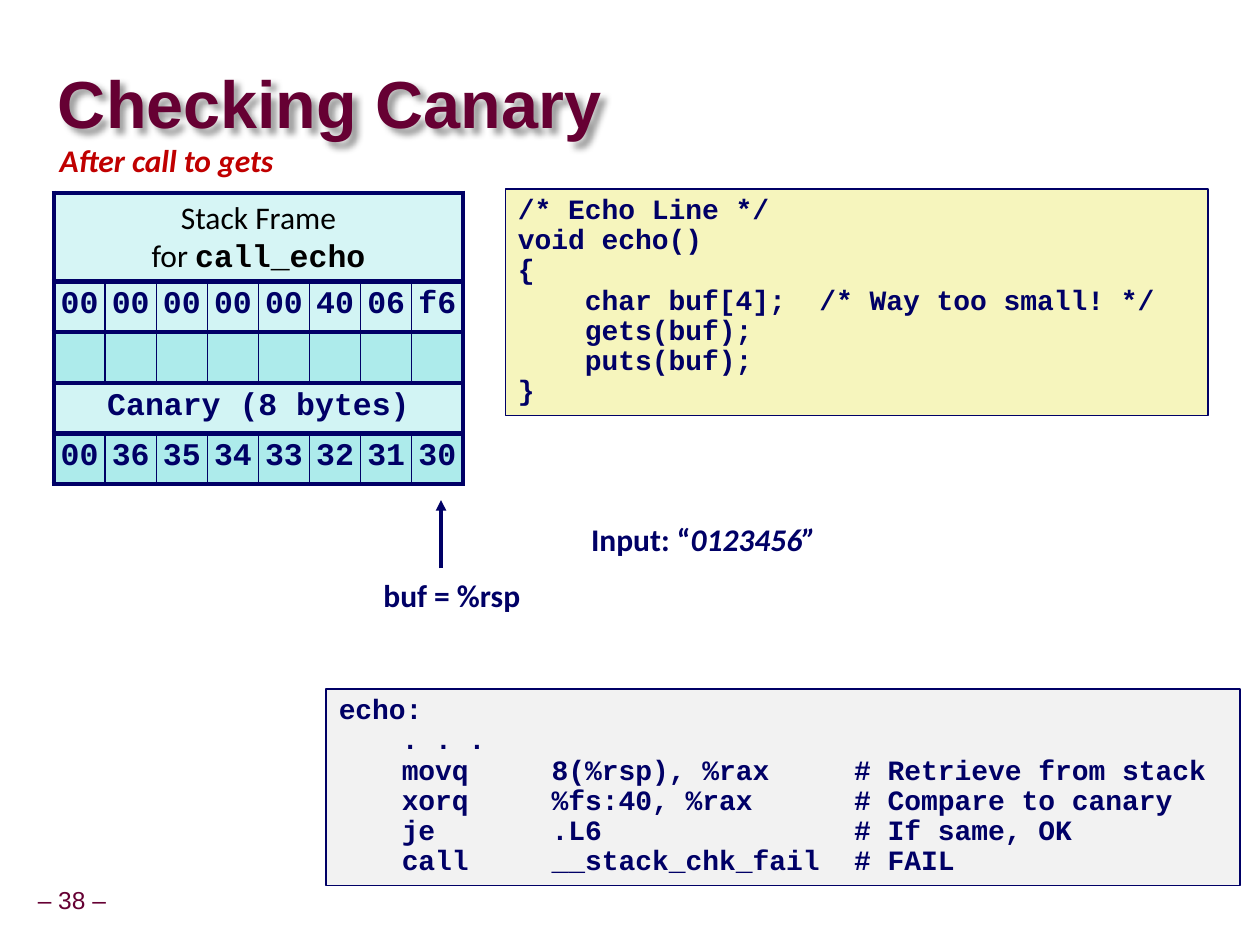
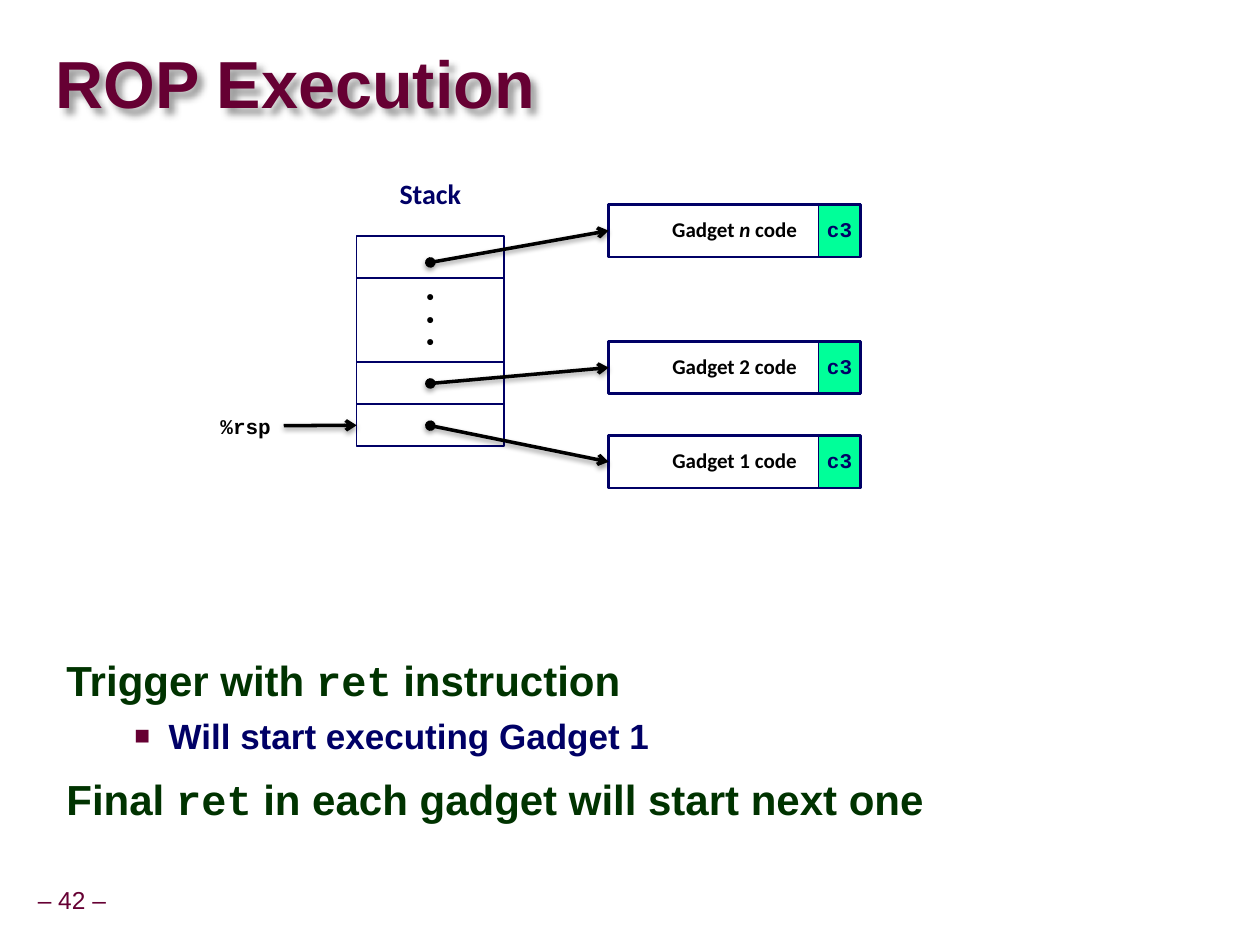
from lxml import etree
from pptx import Presentation
from pptx.dml.color import RGBColor
from pptx.enum.shapes import MSO_CONNECTOR, MSO_SHAPE
from pptx.enum.text import MSO_ANCHOR, PP_ALIGN
from pptx.oxml.ns import qn
from pptx.util import Cm, Pt

COLORS = {
    "navy": "000066", "maroon": "660033", "green": "003300", "red": "C00000",
    "black": "000000", "grey": "F2F2F2", "yellow": "F6F5BD", "mint": "00FF99",
    "frame": "D6F5F5", "pale": "D2F4F4", "teal": "ADEBEB",
}

# Text styles: font, size, colour, bold, italic
STYLES = {
    "title": ("Arial", 38, "maroon", True, False),
    "number": ("Arial", 14, "maroon", False, False),
    "code": ("Courier New", 16, "navy", True, False),
    "label": ("Calibri", 18, "navy", True, False),
    "label italic": ("Calibri", 18, "navy", True, True),
    "moment": ("Calibri", 18, "red", True, True),
    "frame": ("Calibri", 18, "black", False, False),
    "frame code": ("Courier New", 18, "black", True, False),
    "byte": ("Courier New", 18, "navy", True, False),
    "point": ("Arial", 24, "green", True, False),
    "point code": ("Courier New", 24, "green", True, False),
    "subpoint": ("Arial", 20, "navy", True, False),
    "stack": ("Calibri", 16, "navy", True, False),
    "dots": ("Arial", 12, "black", True, False),
    "gadget": ("Calibri", 12, "black", True, False),
    "gadget italic": ("Calibri", 12, "black", True, True),
    "opcode": ("Courier New", 12, "navy", True, False),
    "register": ("Courier New", 12, "black", True, False),
}

# Content: a paragraph is a list of (text, style) spans
ECHO_SOURCE = [
    "/* Echo Line */",
    "void echo()",
    "{",
    "    char buf[4];  /* Way too small! */",
    "    gets(buf);",
    "    puts(buf);",
    "}",
]
ECHO_ASSEMBLY = [
    ("echo:",),
    ("", ". . ."),
    ("", "movq", "8(%rsp), %rax", "# Retrieve from stack"),
    ("", "xorq", "%fs:40, %rax", "# Compare to canary"),
    ("", "je", ".L6", "# If same, OK"),
    ("", "call", "__stack_chk_fail", "# FAIL"),
]
ASSEMBLY_TABS = (1.27, 4.29, 10.39)

FRAME_LABEL = [[("Stack Frame", "frame")],
               [("for ", "frame"), ("call_echo", "frame code")]]
BYTE_COUNT = 8
# Rows: height, fill, paragraphs of a merged row or a list of bytes
FRAME_ROWS = [
    (1.78, "frame", FRAME_LABEL),
    (1.02, "pale", "00 00 00 00 00 40 06 f6".split()),
    (1.02, "teal", [""] * BYTE_COUNT),
    (1.02, "pale", [[("Canary (8 bytes)", "byte")]]),
    (1.02, "teal", "00 36 35 34 33 32 31 30".split()),
]

# Gadgets: top, label, height of the pointer's start, all top to bottom
GADGETS = [
    (4.12, [("Gadget ", "gadget"), ("n", "gadget italic"), (" code", "gadget")], 5.29),
    (6.88, [("Gadget 2 code", "gadget")], 7.73),
    (8.78, [("Gadget 1 code", "gadget")], 8.58),
]
SLOT_HEIGHTS = [0.85, 1.69, 0.85, 0.85]
DOTS_SLOT = 1

ROP_POINTS = [
    [("Trigger with ", "point"), ("ret", "point code"), (" instruction", "point")],
    [("Will start executing Gadget 1", "subpoint")],
    [("Final ", "point"), ("ret", "point code"),
     (" in each gadget will start next one", "point")],
]

CENTER, LEFT, RIGHT = PP_ALIGN.CENTER, PP_ALIGN.LEFT, PP_ALIGN.RIGHT


def rgb(name):
    return RGBColor.from_string(COLORS[name])


def child(parent, tag, **attributes):
    """Append a drawing element with the given attributes."""
    element = etree.SubElement(parent, qn(tag))
    for key, value in attributes.items():
        element.set(key, str(value))
    return element


def add_shadow(shape, blur, distance, degrees, opacity):
    effects = child(shape._element.spPr, "a:effectLst")
    outer = child(effects, "a:outerShdw", blurRad=Pt(blur), dist=Pt(distance),
                  dir=degrees * 60000, algn="ctr", rotWithShape=0)
    color = child(outer, "a:srgbClr", val=COLORS["black"])
    child(color, "a:alpha", val=opacity * 1000)


def write(frame, paragraphs, align=LEFT, spacing=0.9, tabs=()):
    for index, spans in enumerate(paragraphs):
        para = frame.add_paragraph() if index else frame.paragraphs[0]
        if tabs:
            tab_list = child(para._p.get_or_add_pPr(), "a:tabLst")
            for position in tabs:
                child(tab_list, "a:tab", pos=Cm(position), algn="l")
        para.alignment = align
        para.line_spacing = spacing
        for text, style in spans:
            span = para.add_run()
            span.text = text
            font, size, color, bold, italic = STYLES[style]
            span.font.name, span.font.size = font, Pt(size)
            span.font.bold, span.font.italic = bold, italic
            span.font.color.rgb = rgb(color)


def set_margins(target, across, down):
    target.margin_left = target.margin_right = Cm(across)
    target.margin_top = target.margin_bottom = Cm(down)


def add_text(page, place, paragraphs, align=CENTER, anchor=MSO_ANCHOR.TOP,
             margins=(0.25, 0.13), spacing=0.9):
    box = page.shapes.add_textbox(*map(Cm, place))
    frame = box.text_frame
    frame.word_wrap = align != CENTER
    frame.vertical_anchor = anchor
    set_margins(frame, *margins)
    write(frame, paragraphs, align, spacing)
    return box


def add_box(page, place, paragraphs=(), fill=None, line=1, align=CENTER,
            anchor=MSO_ANCHOR.MIDDLE, margins=(0.25, 0.13), tabs=()):
    box = page.shapes.add_shape(MSO_SHAPE.RECTANGLE, *map(Cm, place))
    box.shadow.inherit = False
    if fill:
        box.fill.solid()
        box.fill.fore_color.rgb = rgb(fill)
    else:
        box.fill.background()
    box.line.color.rgb = rgb("navy")
    box.line.width = Pt(line)
    box.text_frame.vertical_anchor = anchor
    set_margins(box.text_frame, *margins)
    write(box.text_frame, paragraphs, align, tabs=tabs)
    return box


def add_arrow(page, start, end, color, tail, head=None, target=None):
    arrow = page.shapes.add_connector(MSO_CONNECTOR.STRAIGHT, *map(Cm, start + end))
    if target is not None:
        arrow.end_connect(target, 1)
    arrow.line.color.rgb = rgb(color)
    arrow.line.width = Pt(2)
    line = arrow.line._get_or_add_ln()
    if head:
        child(line, "a:headEnd", type=head)
    child(line, "a:tailEnd", type=tail)
    return arrow


def add_page(deck, title, title_place, number):
    page = deck.slides.add_slide(deck.slide_layouts[6])
    heading = add_text(page, title_place, [[(title, "title")]], LEFT,
                       MSO_ANCHOR.MIDDLE, (0, 0), 0.87)
    add_shadow(heading, 4, 4, 45, 38)
    add_text(page, (0.61, 17.78, 1.68, 0.79), [[(f"– {number} –", "number")]],
             anchor=MSO_ANCHOR.MIDDLE, margins=(0.13, 0.13))
    return page


def style_cell(cell, fill, thick_left, thick_right):
    properties = cell._tc.get_or_add_tcPr()
    widths = {"a:lnL": 3 if thick_left else 1, "a:lnR": 3 if thick_right else 1,
              "a:lnT": 3, "a:lnB": 3}
    for tag, width in widths.items():
        border = child(properties, tag, w=Pt(width))
        child(child(border, "a:solidFill"), "a:srgbClr", val=COLORS["navy"])
    cell.fill.solid()
    cell.fill.fore_color.rgb = rgb(fill)


def add_stack_frame(page, left, top, column_width):
    height = sum(row[0] for row in FRAME_ROWS)
    table = page.shapes.add_table(
        len(FRAME_ROWS), BYTE_COUNT, Cm(left), Cm(top),
        Cm(column_width * BYTE_COUNT), Cm(height)).table
    table.first_row = table.horz_banding = False
    for column in table.columns:
        column.width = Cm(column_width)
    last = BYTE_COUNT - 1
    for index, (row_height, fill, content) in enumerate(FRAME_ROWS):
        table.rows[index].height = Cm(row_height)
        if len(content) < BYTE_COUNT:
            cell = table.cell(index, 0)
            cell.merge(table.cell(index, last))
            set_margins(cell, 0.13, 0.13)
            write(cell.text_frame, content, CENTER, 1 if fill == "frame" else 0.9)
            style_cell(cell, fill, True, True)
            continue
        for position, byte in enumerate(content):
            cell = table.cell(index, position)
            set_margins(cell, 0.03, 0.13)
            write(cell.text_frame, [[(byte, "byte")] if byte else []], CENTER)
            style_cell(cell, fill, position == 0, position == last)


def build_canary(deck):
    page = add_page(deck, "Checking Canary", (1.17, 1.37, 18.03, 1.6), 38)
    # Code panels
    add_box(page, (6.58, 13.89, 18.42, 3.96),
            [[("\t".join(parts), "code")] for parts in ECHO_ASSEMBLY],
            "grey", align=LEFT, anchor=MSO_ANCHOR.TOP, tabs=ASSEMBLY_TABS)
    add_box(page, (10.19, 3.81, 14.17, 4.57),
            [[(line, "code")] for line in ECHO_SOURCE],
            "yellow", align=LEFT, anchor=MSO_ANCHOR.TOP)
    # Stack frame with its labels
    add_text(page, (0.91, 2.79, 4.9, 1.02), [[("After call to gets", "moment")]])
    add_stack_frame(page, 1.09, 3.89, 1.03)
    add_text(page, (11.63, 10.44, 5.11, 1.02),
             [[("Input: “", "label"), ("0123456”", "label italic")]])
    add_text(page, (7.42, 11.56, 3.38, 1.02), [[("buf = %rsp", "label")]])
    pointer = add_arrow(page, (8.89, 11.46), (8.89, 10.08), "navy", "triangle")
    child(pointer._element.spPr, "a:effectLst")


def build_rop(deck):
    page = add_page(deck, "ROP Execution", (1.12, 0.69, 24.21, 2.16), 42)
    # Points
    body = add_text(page, (1.09, 13.13, 21.95, 4.47), ROP_POINTS, LEFT, spacing=0.95)
    _, subpoint, final = body.text_frame.paragraphs
    properties = subpoint._p.get_or_add_pPr()
    properties.set("marL", str(Cm(2.06)))
    properties.set("indent", str(Cm(-0.69)))
    child(child(properties, "a:buClr"), "a:srgbClr", val=COLORS["maroon"])
    child(properties, "a:buSzPct", val=75000)
    child(properties, "a:buFont", typeface="Arial")
    child(properties, "a:buChar", char="■")
    subpoint.line_spacing = 1.0
    subpoint.space_before, final.space_before = Pt(5), Pt(12)

    # Stack slots, top to bottom
    left, width, top = 7.19, 2.97, 4.76
    for index, height in enumerate(SLOT_HEIGHTS):
        dots = [[("•", "dots")]] * 3 if index == DOTS_SLOT else ()
        slot = add_box(page, (left, top, width, height), dots, margins=(0.25, 0))
        top += height
    add_text(page, (left, 3.51, width, 0.94), [[("Stack", "stack")]])

    # Gadgets and the pointers to them
    gadget_left, gadget_width, gadget_height, opcode_width = 12.27, 5.08, 1.06, 0.85
    arrows = []
    for gadget_top, label, start in GADGETS:
        add_box(page, (gadget_left + gadget_width - opcode_width, gadget_top,
                       opcode_width, gadget_height),
                [[("c3", "opcode")]], "mint", margins=(0, 0.13))
        gadget = add_box(page, (gadget_left, gadget_top, gadget_width, gadget_height),
                         [label], line=1.5)
        arrows.append(add_arrow(page, (left + width / 2, start),
                                (gadget_left, gadget_top + gadget_height / 2),
                                "black", "arrow", "oval", gadget))

    # Stack pointer, aimed at the lowest slot
    arrows.append(add_arrow(page, (5.72, 8.58), (left, 8.58), "black", "arrow",
                            target=slot))
    for arrow in arrows:
        add_shadow(arrow, 3.1, 1.6, 90, 38)
    add_text(page, (2.74, 8.2, 2.97, 0.84), [[("%rsp", "register")]], RIGHT,
             MSO_ANCHOR.MIDDLE)


def main():
    deck = Presentation()
    deck.slide_width, deck.slide_height = Cm(25.4), Cm(19.05)
    build_canary(deck)
    build_rop(deck)
    deck.save("out.pptx")


if __name__ == "__main__":
    main()
